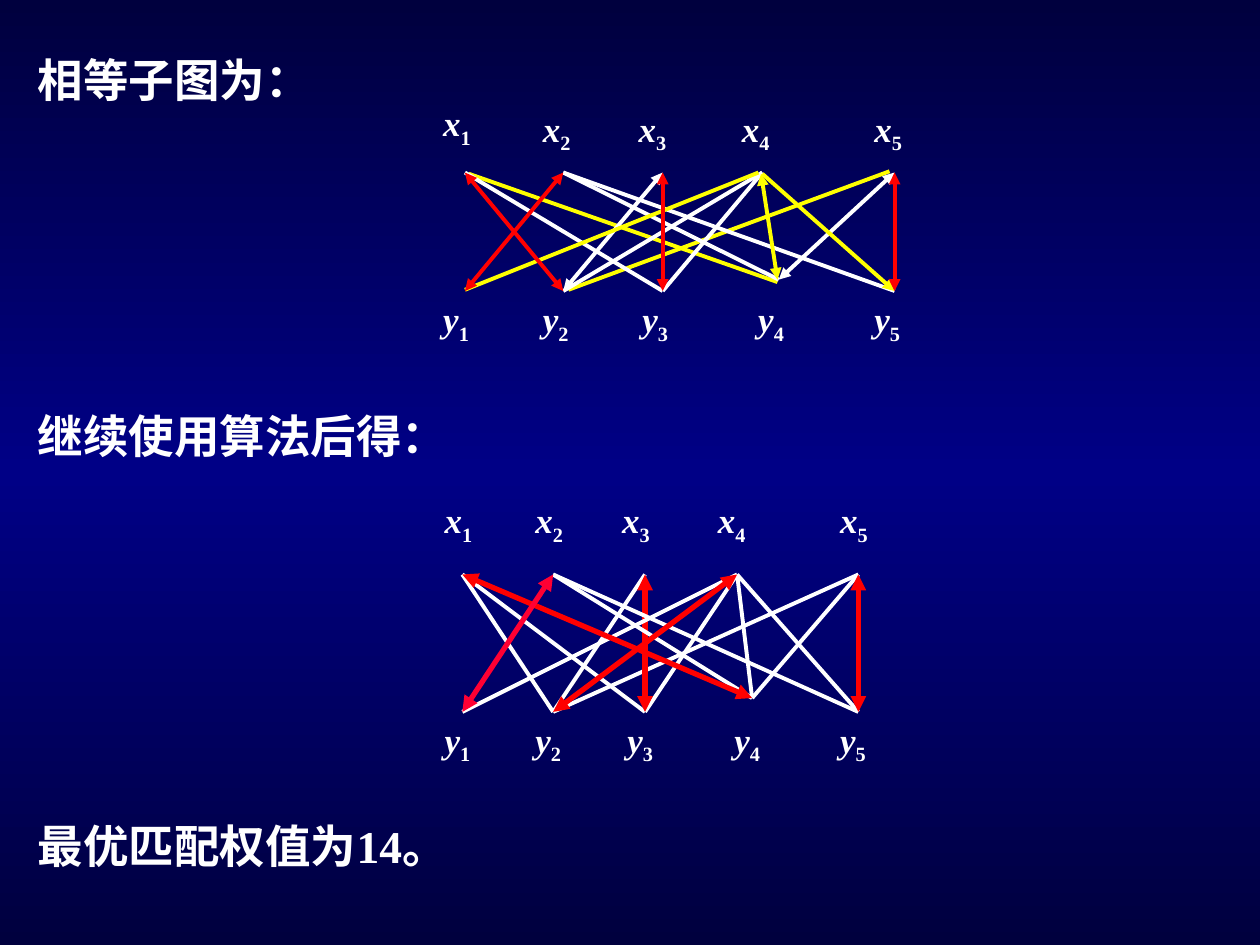
from copy import deepcopy
from lxml.etree import SubElement
from pptx import Presentation
from pptx.dml.color import RGBColor
from pptx.enum.shapes import MSO_CONNECTOR
from pptx.enum.text import MSO_ANCHOR, MSO_AUTO_SIZE, PP_ALIGN
from pptx.oxml.ns import qn
from pptx.util import Pt

HUES = {"edge": "00003E".rjust(6, "0"), "mid": "000086", "white": "FFFFFF",
        "yellow": "FFFF00", "red": "FF0000", "rose": "FF0033"}
HUES["edge"] = "00003E"


def write(box, runs, size, anchor):
    frame = box.text_frame
    frame.word_wrap = True
    frame.auto_size = MSO_AUTO_SIZE.SHAPE_TO_FIT_TEXT
    frame.vertical_anchor = anchor
    para = frame.paragraphs[0]
    para.alignment = PP_ALIGN.LEFT
    para.space_before = Pt(0)
    for text, slant, base in runs:
        run = para.add_run()
        run.text = text
        font = run.font
        font.name, font.size = "Times New Roman", Pt(size)
        font.bold, font.italic = True, slant
        font.color.rgb = RGBColor.from_string(HUES["white"])
        if base:
            font._element.set("baseline", str(base))


def join(group, start, end, hue, width, heads):
    line = group.shapes.add_connector(
        MSO_CONNECTOR.STRAIGHT, *[Pt(v) for v in (*start, *end)])
    line.line.color.rgb = RGBColor.from_string(HUES[hue])
    line.line.width = Pt(width)
    props = line._element.spPr
    for head in heads:
        SubElement(props.find(qn("a:ln")), qn(f"a:{head}End"), type="triangle")
    SubElement(props, qn("a:effectLst"))


deck = Presentation()
deck.slide_width, deck.slide_height = Pt(720), Pt(540)
slide = deck.slides.add_slide(deck.slide_layouts[5])

fill = slide.background.fill
fill.gradient()
fill.gradient_angle = 90
stops = next(slide._element.iter(qn("a:gsLst")))
stops.insert(1, deepcopy(stops[0]))
for stop, spot, hue in zip(fill.gradient_stops, (0, 0.5, 1), ("edge", "mid", "edge")):
    stop.position = spot
    stop.color.rgb = RGBColor.from_string(HUES[hue])

title = slide.shapes.title
title.left, title.top, title.width, title.height = Pt(14.4), Pt(26), Pt(255), Pt(39)
write(title, [("相等子图为：", False, 0)], 26, MSO_ANCHOR.TOP)
for text, top, width in (("继续使用算法后得：", 229, 277), ("最优匹配权值为14。", 463.7, 272)):
    box = slide.shapes.add_textbox(Pt(14.4), Pt(top), Pt(width), Pt(39))
    write(box, [(text, False, 0)], 26, MSO_ANCHOR.MIDDLE)

BOTH = ("head", "tail")
STILL = (0, 0, 0, 0)
graphs = [
    {
        "cols": (265.7, 321.9, 378.7, 435.6, 511.2), "rows": (98.6, 166.3),
        "low": (445, 159.8), "wide": 49,
        "tags": {"x": [(246.2, 54.7), (303.1, 57.6), (357.8, 57.6), (416.9, 57.6), (492.5, 57.6)],
                 "y": [(v, 166.3) for v in (246.2, 303.1, 360, 426.2, 492.5)]},
        "edges": [
            ("x5", "y2", "yellow", 2.25, (), (-2.9, -0.7, 2.9, -0.7)),
            ("x1", "y4", "yellow", 2.25, (), (2.2, 0.7, -0.7, 1.4)),
            ("y2", "x3", "white", 2.25, BOTH, STILL),
            ("x5", "y4", "white", 2.25, BOTH, STILL),
            ("x4", "y3", "white", 2.25, (), STILL),
            ("x4", "y2", "white", 2.25, (), STILL),
            ("x1", "y3", "white", 2.25, (), STILL),
            ("x2", "y4", "white", 2.25, (), STILL),
            ("x2", "y5", "white", 2.25, (), STILL),
            ("x4", "y1", "yellow", 2.25, (), (-2.2, 0, 0, -0.7)),
            ("x4", "y5", "yellow", 2.25, ("tail",), (0, 0.7, 0, 0)),
            ("x4", "y4", "yellow", 2.25, BOTH, (-0.7, 0.7, -0.7, 0)),
            ("x1", "y2", "red", 2.25, BOTH, STILL),
            ("x2", "y1", "red", 2.25, BOTH, STILL),
            ("x3", "y3", "red", 2.25, BOTH, STILL),
            ("x5", "y5", "red", 2.25, BOTH, STILL),
        ],
    },
    {
        "cols": (264.2, 316.1, 368.6, 421.2, 490.5), "rows": (328.3, 406.8),
        "low": (429.8, 398.9), "wide": 45.4,
        "tags": {"x": [(v, 281.5) for v in (247, 298.8, 348.5, 403.2, 473)],
                 "y": [(v, 406.8) for v in (247, 298.8, 351.4, 412.6, 473)]},
        "edges": [
            *[(a, b, "white", 2.25, (), STILL) for a, b in (
                ("x5", "y2"), ("x1", "y3"), ("x4", "y3"), ("y2", "x3"))],
            ("x3", "y3", "red", 3, BOTH, STILL),
            *[(a, b, "white", 2.25, (), STILL) for a, b in (
                ("x1", "y2"), ("x5", "y4"), ("x2", "y4"), ("x2", "y5"),
                ("x4", "y1"), ("x4", "y5"), ("x4", "y4"))],
            ("x5", "y5", "red", 3, BOTH, STILL),
            ("x1", "y4", "red", 3, BOTH, STILL),
            ("x2", "y1", "rose", 3, BOTH, STILL),
            ("x4", "y2", "red", 3, BOTH, STILL),
        ],
    },
]

for graph in graphs:
    group = slide.shapes.add_group_shape()
    nodes = {f"{side}{i}": (col, row)
             for side, row in zip("xy", graph["rows"])
             for i, col in enumerate(graph["cols"], 1)}
    nodes["y4"] = graph["low"]
    for side, spots in graph["tags"].items():
        for i, (left, top) in enumerate(spots, 1):
            tag = group.shapes.add_textbox(Pt(left), Pt(top), Pt(graph["wide"]), Pt(34.6))
            write(tag, [(side, True, 0), (str(i), False, -25000)], 20, MSO_ANCHOR.TOP)
    for a, b, hue, width, heads, (ax, ay, bx, by) in graph["edges"]:
        start = nodes[a][0] + ax, nodes[a][1] + ay
        end = nodes[b][0] + bx, nodes[b][1] + by
        join(group, start, end, hue, width, heads)

deck.save("out.pptx")
